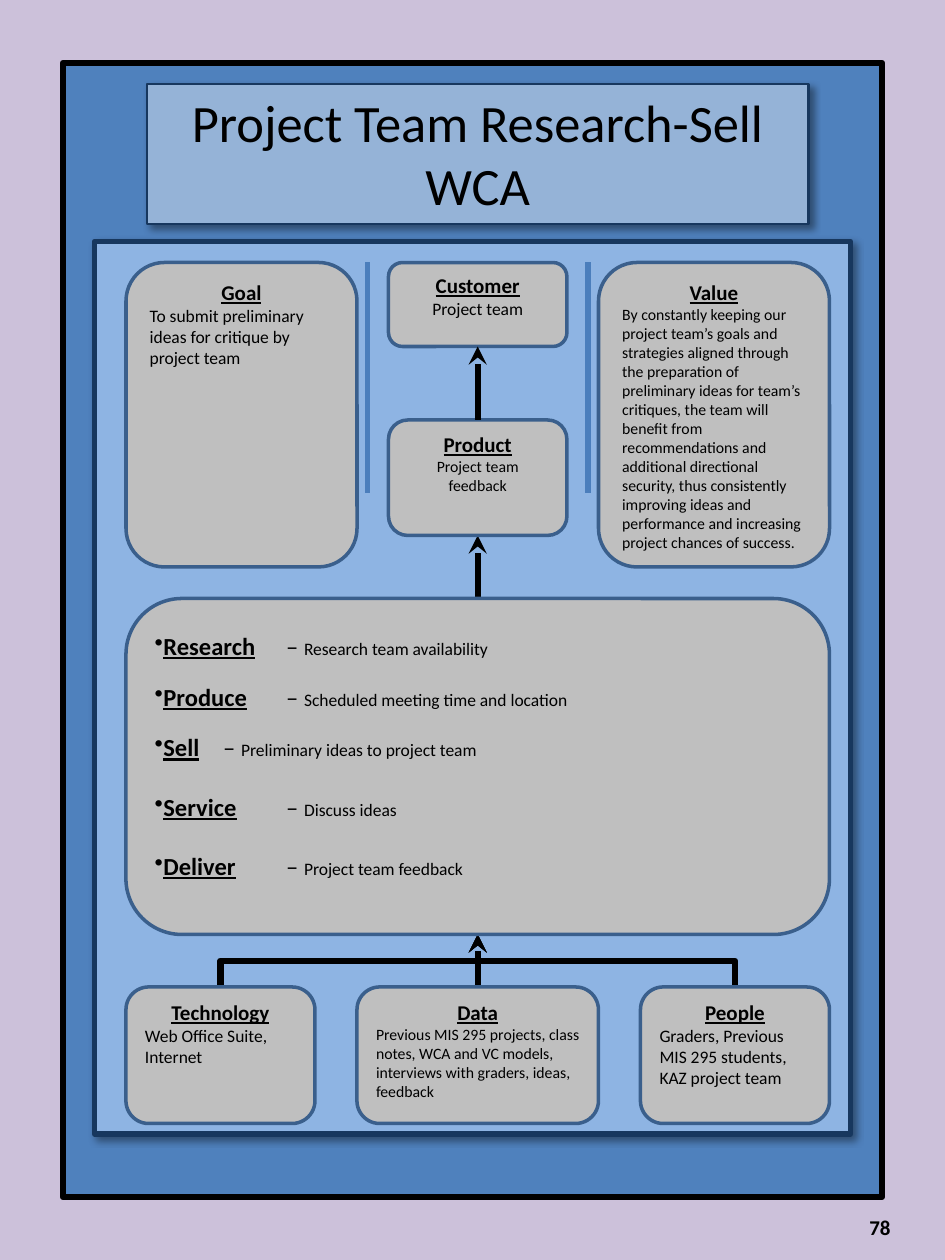
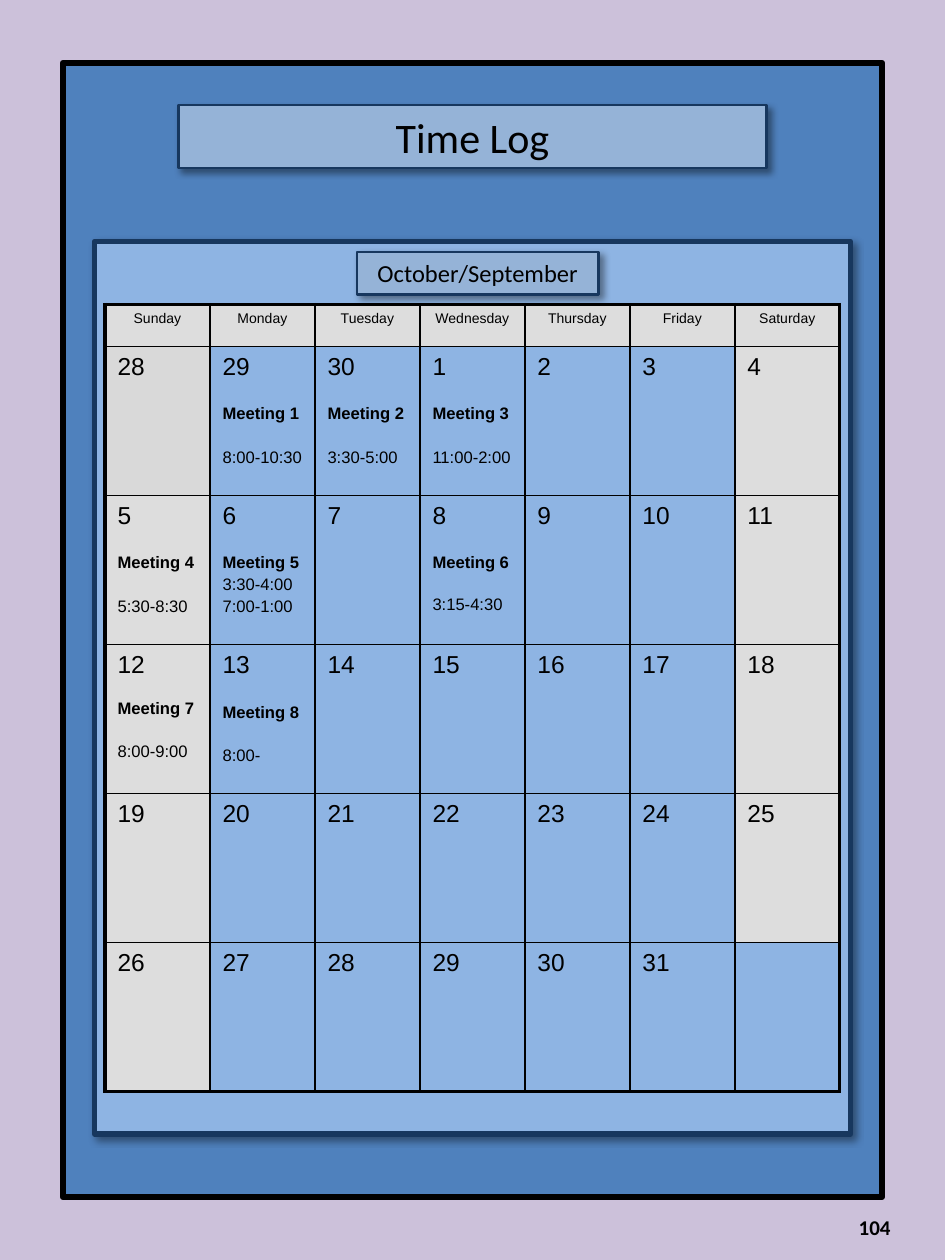
from pptx import Presentation
from pptx.dml.color import RGBColor
from pptx.enum.shapes import MSO_CONNECTOR, MSO_SHAPE
from pptx.enum.text import MSO_ANCHOR, PP_ALIGN
from pptx.oxml import parse_xml
from pptx.oxml.ns import nsdecls, qn
from pptx.util import Pt

RECTANGLE, ROUNDED = MSO_SHAPE.RECTANGLE, MSO_SHAPE.ROUNDED_RECTANGLE
STRAIGHT, ELBOW = MSO_CONNECTOR.STRAIGHT, MSO_CONNECTOR.ELBOW
LEFT, CENTER, RIGHT = PP_ALIGN.LEFT, PP_ALIGN.CENTER, PP_ALIGN.RIGHT
TOP, MIDDLE = MSO_ANCHOR.TOP, MSO_ANCHOR.MIDDLE

BLACK, NAVY, LILAC = "000000", "17375E", "CCC1DA"
FRAME_BLUE, PANEL_BLUE, TITLE_BLUE = "4F81BD", "8EB4E3", "95B3D7"
BOX_GREY, BOX_LINE, DIVIDER_BLUE = "BFBFBF", "3A5F8C", "4B7EBC"
WEEKEND_GREY, FIRST_DAY_GREY = "DDDDDD", "D9D9D9"


def color(hex_code):
    return RGBColor.from_string(hex_code)


def points(*lengths):
    return [Pt(length) for length in lengths]


def xml(tag, attributes="", inner=""):
    return parse_xml(f"<a:{tag} {nsdecls('a')} {attributes}>{inner}</a:{tag}>")


def solid(hex_code, inner=""):
    return f'<a:solidFill><a:srgbClr val="{hex_code}">{inner}</a:srgbClr></a:solidFill>'


def add_text(paragraph, text, size=10, font="Calibri", bold=False,
             underline=False, align=None, before=0, after=0):
    """Add one run; alignment and spacing apply when align is given."""
    run = paragraph.add_run()
    run.text = text
    run.font.name, run.font.size = font, Pt(size)
    run.font.bold, run.font.underline = bold, underline
    run.font.color.rgb = color(BLACK)
    if align is not None:
        paragraph.alignment = align
        paragraph.space_before, paragraph.space_after = points(before, after)


def next_paragraph(frame):
    first = frame.paragraphs[0]
    return frame.add_paragraph() if first.runs else first


class Deck:
    def __init__(self):
        self.presentation = Presentation()
        self.presentation.slide_width, self.presentation.slide_height = points(540, 720)
        self.slide = None

    def new_slide(self, number):
        """Start a slide with the shared background, frame, panel and number."""
        self.slide = self.presentation.slides.add_slide(self.presentation.slide_layouts[6])
        background = self.slide.background.fill
        background.solid()
        background.fore_color.rgb = color(LILAC)
        self.shape(RECTANGLE, (36, 36, 468, 648), FRAME_BLUE, BLACK, 3.75)
        self.shape(RECTANGLE, (54, 138, 432, 510), PANEL_BLUE, NAVY, 3, shadow=True)
        number_box = self.slide.shapes.add_textbox(*points(390, 682, 126, 38))
        frame = number_box.text_frame
        frame.word_wrap, frame.vertical_anchor = True, MIDDLE
        add_text(frame.paragraphs[0], number, size=12, bold=True, align=RIGHT)

    def shape(self, kind, box, fill, line, width, shadow=False):
        shape = self.slide.shapes.add_shape(kind, *points(*box))
        shape.fill.solid()
        shape.fill.fore_color.rgb = color(fill)
        shape.line.color.rgb, shape.line.width = color(line), Pt(width)
        shape.shadow.inherit = False
        if shadow:
            shape._element.spPr.find(qn("a:effectLst")).append(xml(
                "outerShdw", f'blurRad="{Pt(4)}" dist="{Pt(3)}" dir="2700000"',
                f'<a:srgbClr val="{BLACK}"><a:alpha val="40000"/></a:srgbClr>'))
        shape.text_frame.word_wrap = True
        shape.text_frame.vertical_anchor = TOP
        return shape

    def title(self, box, text, size):
        shape = self.shape(RECTANGLE, box, TITLE_BLUE, NAVY, 1.5, shadow=True)
        add_text(shape.text_frame.paragraphs[0], text, size=size, align=CENTER)

    def rounded_box(self, box):
        return self.shape(ROUNDED, box, BOX_GREY, BOX_LINE, 2).text_frame

    def card(self, box, heading, body, size=10, align=LEFT):
        frame = self.rounded_box(box)
        add_text(next_paragraph(frame), heading, size=12, bold=True,
                 underline=True, align=CENTER)
        add_text(next_paragraph(frame), body, size=size, align=align)

    def steps(self, box, steps):
        """Bulleted list of (name, detail, space after)."""
        frame = self.rounded_box(box)
        frame.vertical_anchor, frame.margin_bottom = MIDDLE, Pt(15.8)
        for name, detail, after in steps:
            paragraph = next_paragraph(frame)
            add_text(paragraph, name, size=14, bold=True, underline=True,
                     align=LEFT, after=after)
            add_text(paragraph, "\t – ", size=14)
            add_text(paragraph, detail)
            paragraph._p.get_or_add_pPr().append(xml("buChar", 'char="•"'))

    def line(self, begin, end, line=BLACK, width=3.5, kind=STRAIGHT, arrow=True):
        connector = self.slide.shapes.add_connector(kind, *points(*begin, *end))
        connector.line.color.rgb, connector.line.width = color(line), Pt(width)
        if arrow:
            connector.line._ln.append(xml("tailEnd", 'type="stealth"'))
        connector._element.spPr.append(xml("effectLst"))
        return connector

    def rising_elbow(self, begin, end):
        """Elbow arrow that leaves and arrives vertically: a turned elbow."""
        middle_x, middle_y = (begin[0] + end[0]) / 2, (begin[1] + end[1]) / 2
        half_width, half_height = (begin[1] - end[1]) / 2, abs(end[0] - begin[0]) / 2
        side, turn = (1, 90) if begin[0] < end[0] else (-1, 270)
        connector = self.line(
            (middle_x + side * half_width, middle_y + half_height),
            (middle_x - side * half_width, middle_y - half_height), kind=ELBOW)
        connector._element.spPr.find(qn("a:xfrm")).set("rot", str(turn * 60000))

    def table(self, box, rows, columns, header_height):
        table = self.slide.shapes.add_table(rows, columns, *points(*box)).table
        table.first_row = table.horz_banding = False
        for column in table.columns:
            column.width = Pt(box[2] / columns)
        for index, row in enumerate(table.rows):
            row.height = Pt(header_height if index == 0 else
                            (box[3] - header_height) / (rows - 1))
        for row in range(rows):
            for column in range(columns):
                outer = {"L": column == 0, "R": column == columns - 1,
                         "T": row == 0, "B": row == rows - 1}
                properties = table.cell(row, column)._tc.get_or_add_tcPr()
                for edge, is_outer in outer.items():
                    width = Pt(2.25 if is_outer else 1)
                    properties.append(xml(f"ln{edge}", f'w="{width}"', solid(BLACK)))
        return table


def fill_cell(cell, fill=None):
    if fill:
        cell.fill.solid()
        cell.fill.fore_color.rgb = color(fill)
    else:
        cell.fill.background()


def build_work_system(deck):
    deck.new_slide("78")
    deck.title((84, 48, 378, 80), "Project Team Research-Sell WCA", 30)
    center = 273

    # Arrows into the work steps and the product
    deck.line((center, 342), (center, 306))
    deck.rising_elbow((126, 564), (center, 534))
    deck.line((center, 564), (center, 534))
    deck.rising_elbow((420, 564), (center, 534))

    # Goal, customer, product and value
    deck.card((72, 150, 132, 174), "Goal",
              "To submit preliminary ideas for critique by project team")
    deck.card((222, 150, 102, 48), "Customer", "Project team", align=CENTER)
    deck.card((222, 240, 102, 66), "Product", "Project team feedback", 9, CENTER)
    deck.card((342, 150, 132, 174), "Value",
              "By constantly keeping our project team’s goals and strategies aligned "
              "through the preparation of preliminary ideas for team’s critiques, the "
              "team will benefit from recommendations and additional directional "
              "security, thus consistently improving ideas and performance and "
              "increasing project chances of success.", 9)
    for x in (210, 336):
        deck.line((x, 150), (x, 282), DIVIDER_BLUE, 3, arrow=False)
    deck.line((center, 240), (center, 198))

    # Work steps
    deck.steps((72, 342, 402, 192), [
        ("Research", "Research team availability", 12.2),
        ("Produce", "Scheduled meeting time and location", 12.2),
        ("Sell", "Preliminary ideas to project team", 17.1),
        ("Service", "Discuss ideas", 17.1),
        ("Deliver", "Project team feedback", 0)])

    # Resources
    deck.card((72, 564, 108, 78), "Technology", "Web Office Suite, Internet")
    deck.card((204, 564, 138, 78), "Data",
              "Previous MIS 295 projects, class notes, WCA and VC models, "
              "interviews with graders, ideas, feedback", 9)
    deck.card((366, 564, 108, 78), "People",
              "Graders, Previous MIS 295 students, KAZ project team")


def build_time_log(deck):
    deck.new_slide("104")
    deck.title((102, 60, 336, 36), "Time Log", 24)

    weekdays = ["Sunday", "Monday", "Tuesday", "Wednesday",
                "Thursday", "Friday", "Saturday"]
    days = [28, 29, 30, *range(1, 32)]
    # Position in days: lines of (text, space before); the first is bold
    meetings = {
        1: [("Meeting 1", 14), ("8:00-10:30", 14)],
        2: [("Meeting 2", 14), ("3:30-5:00", 14)],
        3: [("Meeting 3", 14), ("11:00-2:00", 14)],
        7: [("Meeting 4", 14), ("5:30-8:30", 14)],
        8: [("Meeting 5", 14), ("3:30-4:00", 1.7), ("7:00-1:00", 1.7)],
        10: [("Meeting 6", 14), ("3:15-4:30", 13)],
        14: [("Meeting 7", 12), ("8:00-9:00", 14)],
        15: [("Meeting 8", 14), ("8:00-", 14)],
    }

    # Calendar
    table = deck.table((60, 174, 420, 450), 6, len(weekdays), 24)
    for column, weekday in enumerate(weekdays):
        cell = table.cell(0, column)
        fill_cell(cell, WEEKEND_GREY)
        add_text(cell.text_frame.paragraphs[0], weekday, size=8, font="Arial", align=CENTER)
    for index, day in enumerate(days):
        row, column = divmod(index, len(weekdays))
        cell = table.cell(row + 1, column)
        weekend = FIRST_DAY_GREY if index == 0 else WEEKEND_GREY
        fill_cell(cell, weekend if column in (0, 6) else None)
        frame = cell.text_frame
        add_text(frame.paragraphs[0], str(day), size=14, font="Arial", align=LEFT)
        for position, (text, before) in enumerate(meetings.get(index, [])):
            add_text(next_paragraph(frame), text, size=9.5, font="Arial",
                     bold=position == 0, align=LEFT, before=before)
    fill_cell(table.cell(5, 6))

    deck.title((204, 144, 138, 24.5), "October/September", 14)


def main():
    deck = Deck()
    build_work_system(deck)
    build_time_log(deck)
    deck.presentation.save("out.pptx")


if __name__ == "__main__":
    main()
